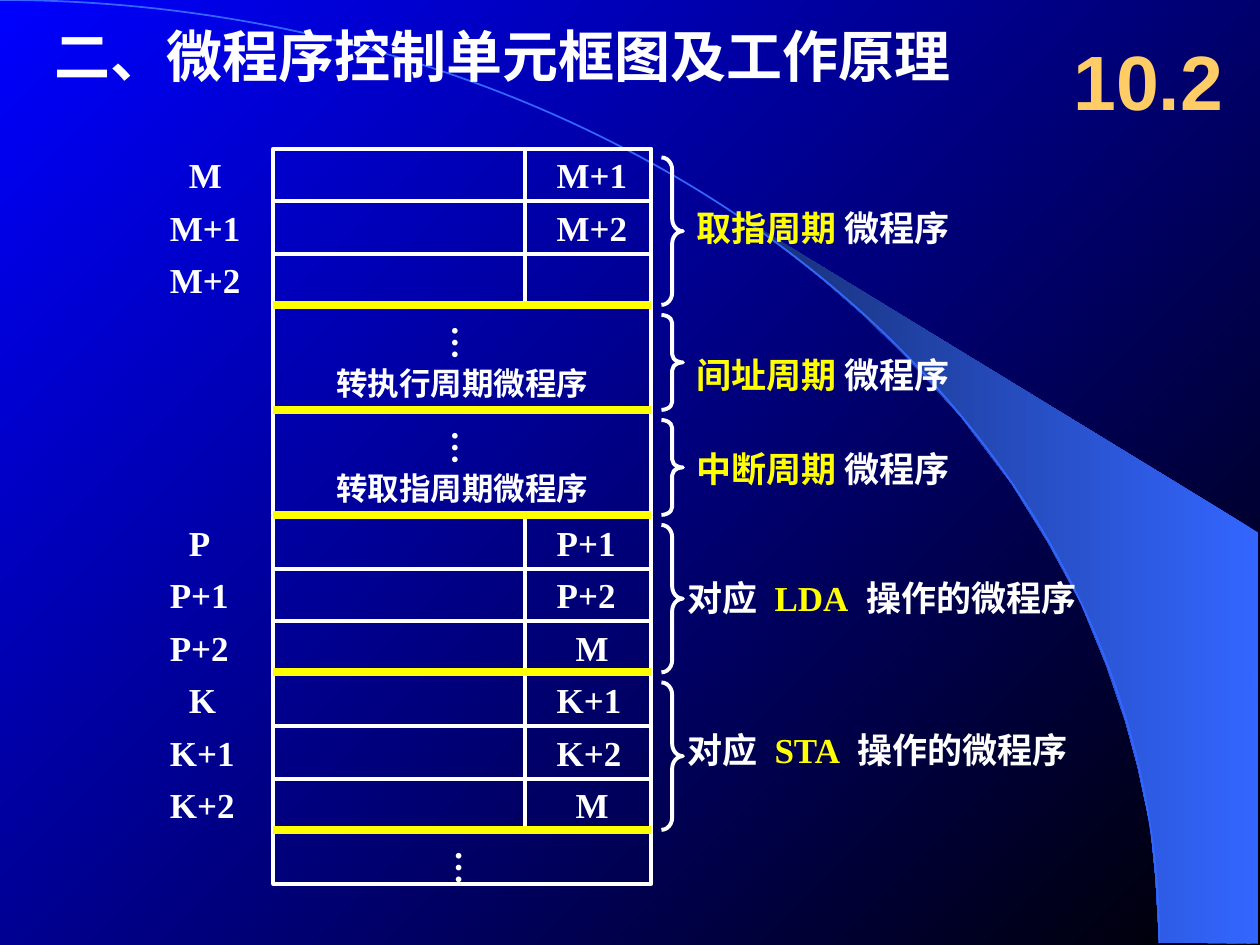
from lxml import etree
from pptx import Presentation
from pptx.dml.color import RGBColor
from pptx.enum.shapes import MSO_CONNECTOR, MSO_SHAPE
from pptx.enum.text import MSO_ANCHOR, MSO_AUTO_SIZE, PP_ALIGN
from pptx.oxml.ns import qn
from pptx.util import Inches, Pt

LINE = MSO_CONNECTOR.STRAIGHT
RECT, BRACE, ARC = MSO_SHAPE.RECTANGLE, MSO_SHAPE.RIGHT_BRACE, MSO_SHAPE.ARC
LEFT, MID = PP_ALIGN.LEFT, PP_ALIGN.CENTER
WHITE, YELLOW, GOLD, BLUE = "FFFFFF", "FFFF00", "FFCC66", "3366FF"
SERIF, SANS = "Times New Roman", "Arial"

# Content
TITLE = "二、微程序控制单元框图及工作原理"
SECTION = "10.2"
ADDRESS = {0: "M", 1: "M+1", 2: "M+2", 7: "P", 8: "P+1", 9: "P+2",
           10: "K", 11: "K+1", 12: "K+2"}
NEXT = {0: "M+1", 1: "M+2", 7: "P+1", 8: "P+2", 9: "M",
        10: "K+1", 11: "K+2", 12: "M"}
JUMPS = {3: "转执行周期微程序", 5: "转取指周期微程序"}
DOTS = [(3, 3.39), (5, 3.39), (13, 3.42)]  # row, left
WIDE = (" ", WHITE, 5)  # a space with 5 pt of extra tracking
# first row, last row, label row, label left, label width, runs
PARTS = [
    (0, 3, 1, 5.43, 2.21, [("取指周期 ", YELLOW), ("微程序", WHITE)]),
    (3, 5, 3.8, 5.43, 2.21, [("间址周期 ", YELLOW), ("微程序", WHITE)]),
    (5, 7, 5.6, 5.43, 2.21, [("中断周期 ", YELLOW), ("微程序", WHITE)]),
    (7, 10, 8.05, 5.36, 3.28,
     [("对应", WHITE), WIDE, ("LDA", YELLOW), WIDE, ("操作的微程序", WHITE)]),
    (10, 13, 10.95, 5.36, 3.23,
     [("对应", WHITE), WIDE, ("STA", YELLOW), WIDE, ("操作的微程序", WHITE)]),
]
BAND = [(9.2, 7.48), (9.99, 7.49), (9.99, 4.23), (5.89, 1.73), (6.24, 1.99),
        (6.53, 2.22), (6.85, 2.5), (7.16, 2.8), (7.62, 3.3), (8.03, 3.84),
        (8.32, 4.31), (8.58, 4.79), (8.78, 5.28), (8.93, 5.72), (9.03, 6.09),
        (9.13, 6.56), (9.17, 6.96)]

# Grid of the control store
X, SPLIT, RIGHT = 2.17, 4.17, 5.17
TOP, ROW = 1.17, 5 / 12
CELLS = [0, 1, 2, *range(7, 14)]
GLYPH = {"M": 0.46, "P": 0.37, "K": 0.41}  # box width of one letter

prs = Presentation()
prs.slide_width, prs.slide_height = Inches(10), Inches(7.5)
slide = prs.slides.add_slide(prs.slide_layouts[5])
shapes = slide.shapes


def rgb(code):
    return RGBColor.from_string(code)


def row_y(row):
    return TOP + row * ROW


def blend(fill, first, last, angle):
    fill.gradient()
    fill.gradient_angle = angle
    for stop, code in zip(fill.gradient_stops, (first, last)):
        stop.color.rgb = rgb(code)


def stroke(item, code, width):
    item.line.color.rgb = rgb(code)
    item.line.width = Pt(width)


def outline(kind, x, y, w, h, code=WHITE, width=2.25):
    item = shapes.add_shape(kind, *map(Inches, (x, y, w, h)))
    item.shadow.inherit = False
    item.fill.background()
    stroke(item, code, width)
    return item


def rule(x1, y1, x2, y2, code=WHITE, width=2.25):
    item = shapes.add_connector(LINE, *map(Inches, (x1, y1, x2, y2)))
    stroke(item, code, width)
    etree.SubElement(item._element.spPr, qn("a:effectLst"))


def write(box, runs, size=20, face=SERIF, align=LEFT, wrap=False,
          anchor=MSO_ANCHOR.TOP):
    frame = box.text_frame
    form = {"word_wrap": wrap, "auto_size": MSO_AUTO_SIZE.NONE,
            "vertical_anchor": anchor}
    for name, value in form.items():
        setattr(frame, name, value)
    para = frame.paragraphs[0]
    para.alignment = align
    for text, code, *track in runs:
        run = para.add_run()
        run.text = text
        for name, value in {"size": Pt(size), "name": face, "bold": True}.items():
            setattr(run.font, name, value)
        run.font.color.rgb = rgb(code)
        mark = run._r.get_or_add_rPr()
        mark.set("lang", "zh-CN")
        if track:
            mark.set("spc", str(track[0] * 100))


def label(x, y, w, h, runs, **form):
    box = shapes.add_textbox(*map(Inches, (x, y, w, h)))
    write(box, runs, **form)
    return box


def code_text(x, row, text):
    w = GLYPH[text[0]] + (0.3 if len(text) > 1 else 0)
    shift = 0.15 if len(text) == 1 else 0
    label(x + shift, row_y(row), w, 0.44, [(text, WHITE)])


# Background, band and arc
blend(slide.background.fill, "000000", "0000FF", 135)
pen = shapes.build_freeform(*map(Inches, BAND[0]), scale=1.0)
pen.add_line_segments([(Inches(x), Inches(y)) for x, y in BAND[1:]])
band = pen.convert_to_shape()
band.shadow.inherit = False
band.line.fill.background()
blend(band.fill, BLUE, "172F75", 180)
outline(ARC, -9.2, 0, 18.4, 14.97, BLUE, 1)

# Title and section number
head = shapes.title
shapes._spTree.append(head._element)
for name, value in dict(left=0.33, top=0.12, width=8, height=0.64).items():
    setattr(head, name, Inches(value))
write(head, [(TITLE, WHITE)], size=32, wrap=True)
label(8.42, 0.17, 1.58, 0.92, [(SECTION, GOLD)], size=44, face=SANS,
      wrap=True, anchor=MSO_ANCHOR.MIDDLE)

# Store cells, sides and dividers
for row in CELLS:
    outline(RECT, X, row_y(row) + 0.01, RIGHT - X, ROW)
for x, first, last in [(X, 3, 7), (RIGHT, 3, 7), (SPLIT, 0, 3), (SPLIT, 7, 13)]:
    rule(x, row_y(first), x, row_y(last))
for part in PARTS:
    rule(X, row_y(part[1]), RIGHT, row_y(part[1]), YELLOW, 4.5)

# Addresses, next addresses and jumps
for x, column in [(1.25, ADDRESS), (4.32, NEXT)]:
    for row, text in column.items():
        code_text(x, row, text)
for row, text in JUMPS.items():
    label(X, row_y(row + 1), RIGHT - X, 0.4, [(text, WHITE)], size=18,
          align=MID, wrap=True)
for row, x in DOTS:
    frame = label(x, row_y(row) + 0.06, 0.53, 0.38, [("…", WHITE)]).text_frame
    frame.margin_left = frame.margin_right = Inches(0.05)
    frame.margin_top = frame.margin_bottom = Inches(0.1)
    frame._txBody.bodyPr.set("vert", "eaVert")

# Braces with their microprograms
for first, last, row, x, w, runs in PARTS:
    tall = (last - first) * ROW - 0.08
    brace = outline(BRACE, 5.25, row_y(first) + 0.08, 0.17, tall)
    brace.adjustments[0] = tall / 12 / 0.17
    label(x, row_y(row), w, 0.44, runs)

prs.save("out.pptx")
